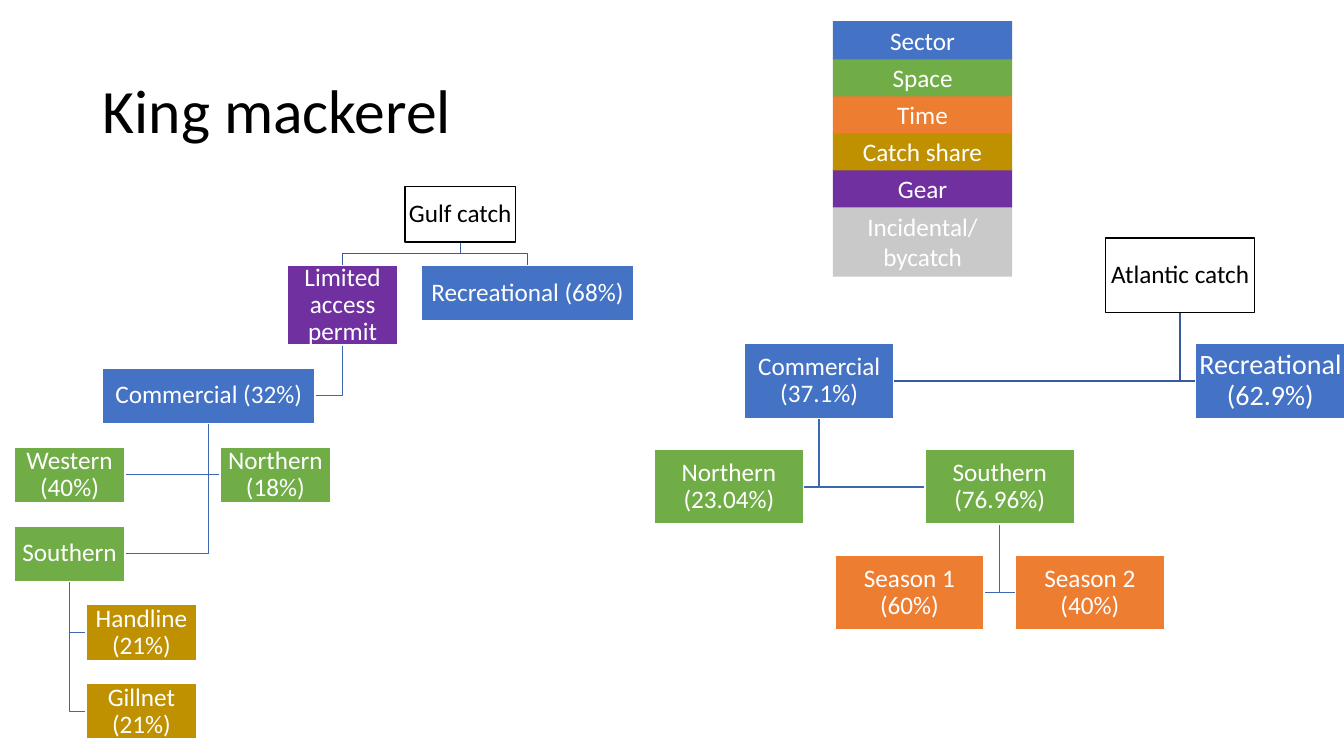
from dataclasses import dataclass

from pptx import Presentation
from pptx.dml.color import RGBColor
from pptx.enum.shapes import MSO_SHAPE as SHAPE
from pptx.enum.text import MSO_ANCHOR as ANCHOR, PP_ALIGN as ALIGN
from pptx.util import Inches, Pt

COLORS = {
    "root": "FFFFFF", "sector": "4472C4", "space": "71AD47", "time": "ED7D31",
    "share": "BF9000", "gear": "7030A0", "bycatch": "C9C9C9",
    "white": "FFFFFF", "black": "000000", "trunk": "365B9D", "branch": "3E67B2",
}
FONT = "Calibri"


@dataclass
class Grid:
    """Centre of the first column, top of the first row, pitches and box size."""
    x: float
    y: float
    dx: float
    dy: float
    w: float
    h: float


GULF = Grid(0.69, 1.85, 0.667, 0.783, 1.1, 0.55)
ATLANTIC = Grid(7.23, 2.36, 0.895, 1.05, 1.48, 0.74)
LEGEND = Grid(9.15, 0.21, 0, 0.367, 1.78, 0.38)

# key: text, kind, column, row, changes to the usual box
GULF_BOXES = {
    "gulf": ("Gulf catch", "root", 5.81, 0, {}),
    "permit": ("Limited access permit", "gear", 4.06, 1, {"h": 0.79}),
    "recreational": ("Recreational (68%)", "sector", 6.81, 1, {"w": 2.1}),
    "commercial": ("Commercial (32%)", "sector", 2.07, 2.3, {"w": 2.11}),
    "western": ("Western (40%)", "space", 0, 3.3, {}),
    "northern": ("Northern (18%)", "space", 3.06, 3.3, {}),
    "southern": ("Southern", "space", 0, 4.3, {}),
    "handline": ("Handline (21%)", "share", 1.07, 5.3, {}),
    "gillnet": ("Gillnet (21%)", "share", 1.07, 6.3, {}),
}
GULF_LINKS = [
    ("gulf", "recreational"), ("gulf", "permit"), ("permit", "commercial"),
    ("commercial", "western"), ("commercial", "northern"),
    ("commercial", "southern"), ("southern", "handline"), ("southern", "gillnet"),
]
ATLANTIC_BOXES = {
    "atlantic": ("Atlantic catch", "root", 5, 0, {}),
    "commercial": ("Commercial (37.1%)", "sector", 1, 1, {}),
    "northern": ("Northern (23.04%)", "space", 0, 2, {}),
    "southern": ("Southern (76.96%)", "space", 3, 2, {}),
    "season1": ("Season 1 (60%)", "time", 2, 3, {}),
    "season2": ("Season 2 (40%)", "time", 4, 3, {}),
    "recreational": ("Recreational (62.9%)", "sector", 6, 1, {"size": 20}),
}
ATLANTIC_LINKS = [
    ("atlantic", "recreational"), ("atlantic", "commercial"),
    ("commercial", "northern"), ("commercial", "southern"),
    ("southern", "season1"), ("southern", "season2"),
]
LEGEND_ROWS = [
    ("Sector", "sector"), ("Space", "space"), ("Time", "time"),
    ("Catch share", "share"), ("Gear", "gear"), ("Incidental/\nbycatch", "bycatch"),
]


def rgb(name):
    """Return the named colour."""
    return RGBColor.from_string(COLORS[name])


def set_text(sp, text, size, color, align, spacing, inset=None):
    """Write middle-anchored, wrapped text into a shape."""
    tf = sp.text_frame
    frame = {"text": text, "word_wrap": True, "vertical_anchor": ANCHOR.MIDDLE}
    if inset is not None:
        sides = ("left", "right", "top", "bottom")
        frame.update({f"margin_{side}": Inches(inset) for side in sides})
    for name, value in frame.items():
        setattr(tf, name, value)
    for p in tf.paragraphs:
        p.alignment, p.line_spacing = align, spacing
        for r in p.runs:
            for name, value in {"name": FONT, "size": Pt(size)}.items():
                setattr(r.font, name, value)
            r.font.color.rgb = rgb(color)


def place(grid, col, row, w=None, h=None):
    """Return left, top, width and height of a grid box in inches."""
    w, h = w or grid.w, h or grid.h
    return grid.x + col * grid.dx - w / 2, grid.y + row * grid.dy, w, h


def add_box(slide, at, fill, border=None):
    """Add a filled rectangle, with a border if one is named."""
    sp = slide.shapes.add_shape(SHAPE.RECTANGLE, *map(Inches, at))
    sp.shadow.inherit = False
    sp.fill.solid()
    sp.fill.fore_color.rgb = rgb(fill)
    if border:
        sp.line.color.rgb, sp.line.width = rgb(border), Pt(1)
    else:
        sp.line.fill.background()
    return sp


def link_points(parent, child, fork):
    """Return the corners from a parent's bottom to a child's side, or top in a fork."""
    px, py, pw, ph = parent
    cx, cy, cw, ch = child
    x, bottom = px + pw / 2, py + ph
    if fork:
        mid, end = (bottom + cy) / 2, cx + cw / 2
        return [(x, bottom), (x, mid), (end, mid), (end, cy)]
    mid = cy + ch / 2
    side = cx if cx + cw / 2 > x else cx + cw
    return [(x, bottom), (x, mid), (side, mid)]


def add_link(slide, points, color):
    """Draw an open elbow line through the points."""
    start, *rest = [(Inches(x), Inches(y)) for x, y in points]
    path = slide.shapes.build_freeform(*start)
    path.add_line_segments(rest, close=False)
    sp = path.convert_to_shape()
    sp.shadow.inherit = False
    sp.fill.background()
    sp.line.color.rgb, sp.line.width = rgb(color), Pt(1)


def add_tree(slide, grid, boxes, links, fork):
    """Draw the links of a catch tree, then its boxes."""
    spots = {key: place(grid, col, row, extra.get("w"), extra.get("h"))
             for key, (_, _, col, row, extra) in boxes.items()}
    for parent, child in links:
        is_root = boxes[parent][1] == "root"
        points = link_points(spots[parent], spots[child], fork and is_root)
        add_link(slide, points, "trunk" if is_root else "branch")
    for key, (text, kind, _, _, extra) in boxes.items():
        ink, border = ("black", "black") if kind == "root" else ("white", "white")
        sp = add_box(slide, spots[key], kind, border)
        set_text(sp, text, extra.get("size", 18), ink, ALIGN.CENTER, 0.9, 0.01)


def add_legend(slide):
    """Stack the legend boxes from the bottom up."""
    for row, (text, kind) in reversed(list(enumerate(LEGEND_ROWS))):
        height = 0.7 if "\n" in text else None
        sp = add_box(slide, place(LEGEND, 0, row, h=height), kind)
        set_text(sp, text, 18, "white", ALIGN.CENTER, 1.0)


def add_title(slide, text):
    """Add the slide title."""
    sp = slide.shapes.add_textbox(*map(Inches, (0.92, 0.4, 11.5, 1.45)))
    set_text(sp, text, 44, "black", ALIGN.LEFT, 0.9)


def main():
    """Build the slide and save it."""
    prs = Presentation()
    prs.slide_width, prs.slide_height = Inches(13.33), Inches(7.5)
    slide = prs.slides.add_slide(prs.slide_layouts[6])
    add_title(slide, "King mackerel")
    add_tree(slide, GULF, GULF_BOXES, GULF_LINKS, fork=True)
    add_tree(slide, ATLANTIC, ATLANTIC_BOXES, ATLANTIC_LINKS, fork=False)
    add_legend(slide)
    prs.save("out.pptx")


if __name__ == "__main__":
    main()
